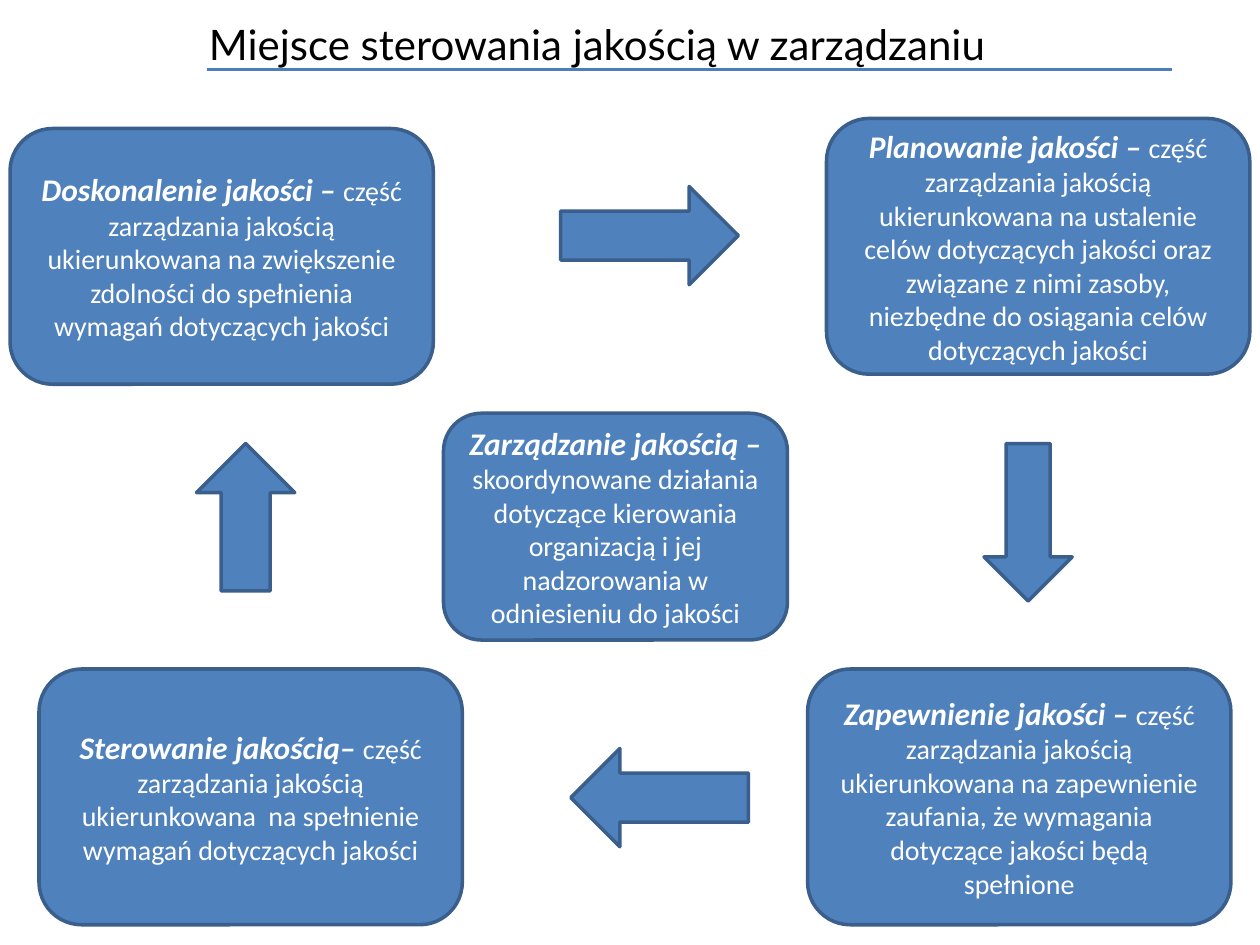
from dataclasses import dataclass

from pptx import Presentation
from pptx.dml.color import RGBColor
from pptx.enum.shapes import MSO_CONNECTOR, MSO_SHAPE
from pptx.enum.text import MSO_ANCHOR, PP_ALIGN
from pptx.oxml.ns import qn
from pptx.util import Inches, Pt
from lxml import etree

BOX = MSO_SHAPE.ROUNDED_RECTANGLE
DOWN, LEFT = MSO_SHAPE.DOWN_ARROW, MSO_SHAPE.LEFT_ARROW
UP, RIGHT = MSO_SHAPE.UP_ARROW, MSO_SHAPE.RIGHT_ARROW
STRAIGHT = MSO_CONNECTOR.STRAIGHT
MIDDLE = MSO_ANCHOR.MIDDLE
CENTER, START = PP_ALIGN.CENTER, PP_ALIGN.LEFT


@dataclass(frozen=True)
class Theme:
    """Colours, fonts and sizes of the slide."""
    fill: str = "4F81BD"
    edge: str = "3A5F8C"
    rule: str = "4B7EBC"
    ink: str = "000000"
    light: str = "FFFFFF"
    head: str = "Lato"
    body: str = "Calibri"
    title: int = 24
    term: int = 18
    text: int = 16
    line: int = 2


THEME = Theme()
SIZE = (3.36, 2.03)
PART = "część zarządzania jakością ukierunkowana "

BOXES = [
    ((3.52, 3.28, 2.73, 1.8), "Zarządzanie jakością –",
     "skoordynowane działania dotyczące kierowania organizacją i jej "
     "nadzorowania w odniesieniu do jakości"),
    ((6.56, 0.94, *SIZE), "Planowanie jakości – ",
     PART + "na ustalenie celów dotyczących jakości oraz związane z nimi "
     "zasoby, niezbędne do osiągania celów dotyczących jakości"),
    ((6.41, 5.31, *SIZE), "Zapewnienie jakości – ",
     PART + "na zapewnienie zaufania, że wymagania dotyczące jakości "
     "będą spełnione"),
    ((0.31, 5.31, *SIZE), "Sterowanie jakością– ",
     PART + " na spełnienie wymagań dotyczących jakości"),
    ((0.08, 1.02, *SIZE), "Doskonalenie jakości – ",
     PART + "na zwiększenie zdolności do spełnienia wymagań "
     "dotyczących jakości"),
]

ARROWS = [
    (DOWN, (7.81, 3.52, 0.7, 1.25)),
    (LEFT, (4.53, 5.94, 1.41, 0.78)),
    (UP, (1.56, 3.52, 0.78, 1.17)),
    (RIGHT, (4.45, 1.48, 1.41, 0.78)),
]


def color(code):
    """Turn a hex code into a colour."""
    return RGBColor.from_string(code)


def write(para, text, font=THEME.body, size=THEME.text, ink=THEME.light,
          bold=False, slant=False):
    """Add a formatted run to a paragraph."""
    run = para.add_run()
    run.text = text
    face = run.font
    face.name, face.size = font, Pt(size)
    face.bold, face.italic = bold, slant
    face.color.rgb = color(ink)


def open_text(shape, align):
    """Prepare the text frame and return its paragraph."""
    frame = shape.text_frame
    frame.word_wrap = True
    frame.vertical_anchor = MIDDLE
    para = frame.paragraphs[0]
    para.alignment = align
    return para


def add_form(slide, kind, place):
    """Draw a filled and outlined shape."""
    form = slide.shapes.add_shape(kind, *map(Inches, place))
    form.shadow.inherit = False
    form.fill.solid()
    form.fill.fore_color.rgb = color(THEME.fill)
    form.line.color.rgb = color(THEME.edge)
    form.line.width = Pt(THEME.line)
    return form


def add_box(slide, place, term, text):
    """Draw a box with a term and its definition."""
    para = open_text(add_form(slide, BOX, place), CENTER)
    write(para, term, size=THEME.term, bold=True, slant=True)
    write(para, text)


def add_title(slide, text, place):
    """Write the title."""
    box = slide.shapes.add_textbox(*map(Inches, place))
    para = open_text(box, START)
    write(para, text, font=THEME.head, size=THEME.title, ink=THEME.ink)


def add_rule(slide, ends):
    """Draw the line under the title."""
    rule = slide.shapes.add_connector(STRAIGHT, *map(Inches, ends))
    rule.line.color.rgb = color(THEME.rule)
    rule.line.width = Pt(THEME.line)
    etree.SubElement(rule._element.spPr, qn("a:effectLst"))


def main():
    """Build and save the slide."""
    deck = Presentation()
    deck.slide_width, deck.slide_height = Inches(10), Inches(7.5)
    slide = deck.slides.add_slide(deck.slide_layouts[6])
    add_title(slide, "Miejsce sterowania jakością w zarządzaniu",
              (1.56, 0, 7.91, 0.7))
    add_rule(slide, (1.64, 0.55, 9.3, 0.55))
    for place, term, text in BOXES:
        add_box(slide, place, term, text)
    for kind, place in ARROWS:
        add_form(slide, kind, place)
    deck.save("out.pptx")


if __name__ == "__main__":
    main()
